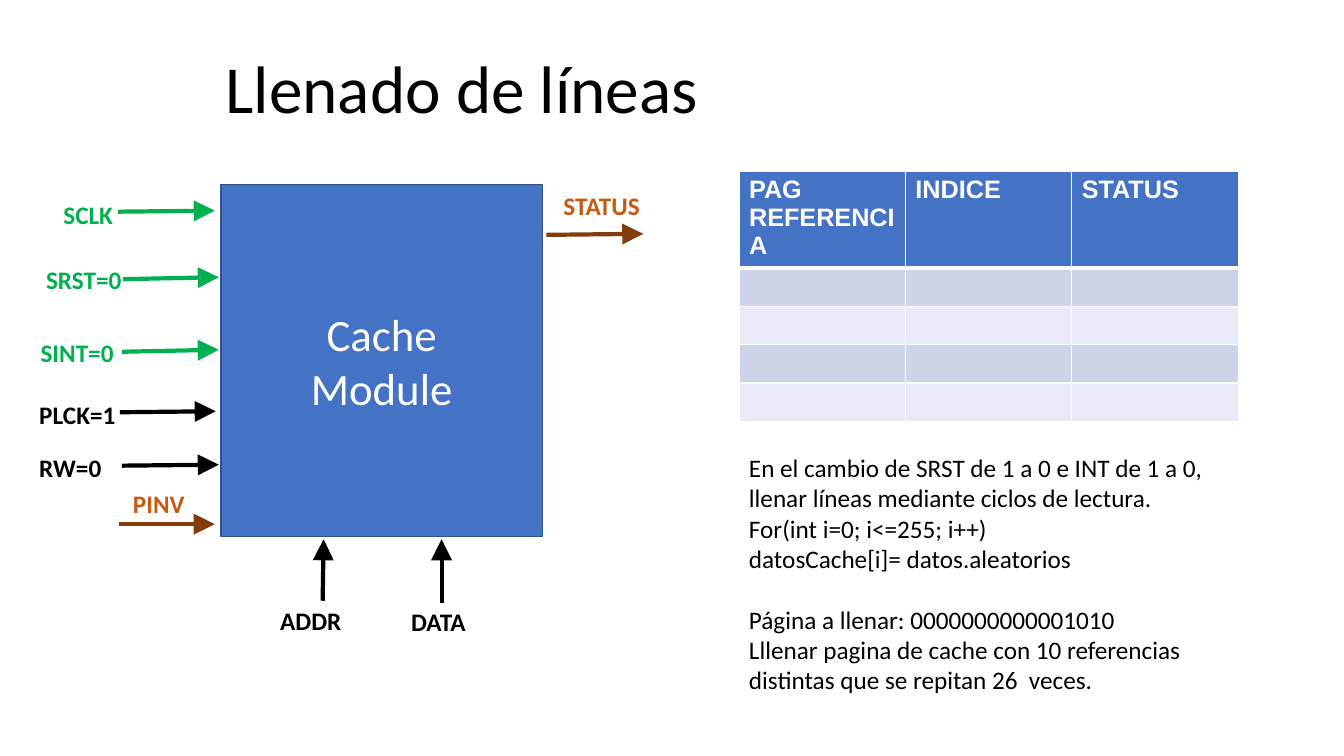
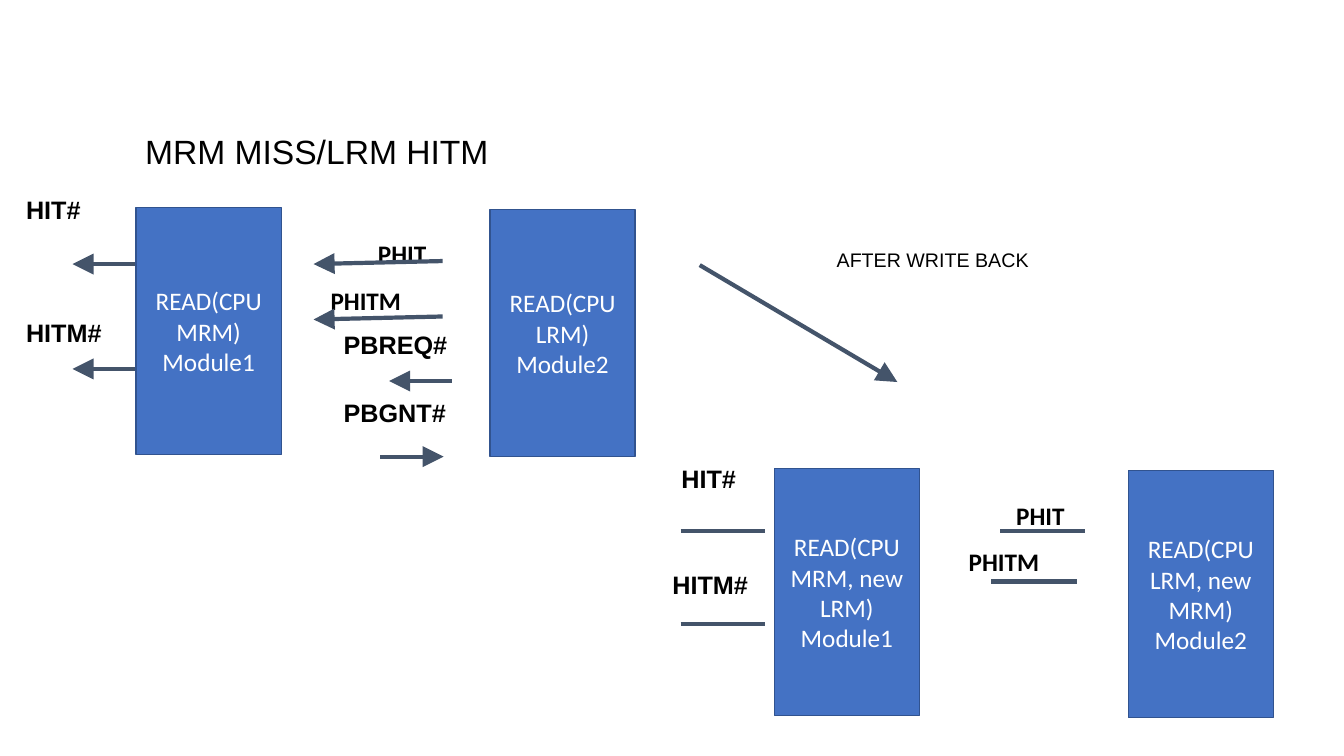
from dataclasses import dataclass
from lxml import etree
from pptx import Presentation
from pptx.dml.color import RGBColor
from pptx.enum.shapes import MSO_CONNECTOR, MSO_SHAPE
from pptx.enum.text import MSO_ANCHOR, PP_ALIGN
from pptx.oxml.ns import qn
from pptx.util import Pt

RECT = MSO_SHAPE.RECTANGLE
LINE = MSO_CONNECTOR.STRAIGHT
TOP, MID = MSO_ANCHOR.TOP, MSO_ANCHOR.MIDDLE
LEFT, MIDST = PP_ALIGN.LEFT, PP_ALIGN.CENTER


@dataclass(frozen=True)
class Theme:
    black: str = "000000"
    white: str = "FFFFFF"
    blue: str = "4472C4"
    edge: str = "31538F"
    slate: str = "44546A"
    green: str = "00B050"
    rust: str = "C55A11"
    brown: str = "833C0B"
    bands: tuple = ("CDD4EA", "E8EBF5")
    sans: str = "Calibri"
    alt: str = "Arial"
    title: int = 48
    chip: int = 32
    head: int = 24
    body: int = 18
    note: int = 14
    gap: int = 22
    wire: int = 3
    thin: int = 1


T = Theme()


def px(n):
    return n * 9144


def rgb(code):
    return RGBColor.from_string(code)


def write(frame, lines, size=T.body, ink=T.black, font=T.sans, bold=False,
          align=LEFT, pad=5):
    frame.word_wrap = True
    frame.margin_left = frame.margin_right = px(10)
    frame.margin_top = frame.margin_bottom = px(pad)
    for i, line in enumerate(lines):
        para = frame.paragraphs[0] if i == 0 else frame.add_paragraph()
        para.alignment = align
        run = para.add_run()
        run.text = line
        run.font.size = Pt(size)
        run.font.name = font
        run.font.bold = bold
        run.font.color.rgb = rgb(ink)


def label(slide, x, y, w, h, lines, **style):
    box = slide.shapes.add_textbox(px(x), px(y), px(w), px(h))
    box.text_frame.vertical_anchor = TOP
    write(box.text_frame, lines, **style)
    return box


def block(slide, x, y, w, h, lines, size=T.body):
    box = slide.shapes.add_shape(RECT, px(x), px(y), px(w), px(h))
    box.shadow.inherit = False
    box.fill.solid()
    box.fill.fore_color.rgb = rgb(T.blue)
    box.line.color.rgb = rgb(T.edge)
    box.line.width = Pt(T.thin)
    box.text_frame.vertical_anchor = MID
    write(box.text_frame, lines, size=size, ink=T.white, align=MIDST)


def wire(slide, x, y, ends, ink=T.slate, arrow=True):
    x1, y1, x2, y2 = ends
    line = slide.shapes.add_connector(
        LINE, px(x + x1), px(y + y1), px(x + x2), px(y + y2))
    line.line.color.rgb = rgb(ink)
    line.line.width = Pt(T.wire)
    if arrow:
        etree.SubElement(line.line._get_or_add_ln(), qn("a:tailEnd"),
                         type="triangle", w="lg", len="lg")
    etree.SubElement(line._element.spPr, qn("a:effectLst"))


def chip(slide, x, y):
    block(slide, x, y, 319, 349, ["Cache", "Module"], T.chip)
    pins = [
        ("SCLK", (-170, 10, 77), MIDST, T.green, T.green, (-102, 27, -6, 26)),
        ("SRST=0", (-190, 74, 108), MIDST, T.green, T.green, (-97, 94, -2, 92)),
        ("SINT=0", (-201, 147, 117), MIDST, T.green, T.green,
         (-98, 166, -2, 164)),
        ("PLCK=1", (-190, 208, 99), LEFT, T.black, T.black,
         (-100, 226, -5, 225)),
        ("RW=0", (-190, 261, 109), LEFT, T.black, T.black,
         (-98, 279, -2, 278)),
        ("PINV", (-97, 297, 78), LEFT, T.rust, T.brown, (-101, 337, -6, 337)),
        ("STATUS", (330, 1, 104), LEFT, T.rust, T.brown, (323, 50, 419, 49)),
        ("ADDR", (49, 413, 105), LEFT, T.black, T.black, (101, 413, 102, 352)),
        ("DATA", (179, 414, 105), LEFT, T.black, T.black, (219, 415, 219, 352)),
    ]
    for name, (dx, dy, w), align, ink, tint, ends in pins:
        wire(slide, x, y, ends, tint)
        label(slide, x + dx, y + dy, w, 40, [name], ink=ink, bold=True,
              align=align)


def border(cell, row):
    props = cell._tc.get_or_add_tcPr()
    thick = {"lnT": row == 1, "lnB": row == 0}
    for i, side in enumerate(("lnL", "lnR", "lnT", "lnB")):
        width = T.wire if thick.get(side) else T.thin
        line = etree.Element(qn("a:" + side), w=str(Pt(width)))
        fill = etree.SubElement(line, qn("a:solidFill"))
        etree.SubElement(fill, qn("a:srgbClr"), val=T.white)
        props.insert(i, line)


def grid(slide, x, y, heads):
    tall = [93] + [38] * 4
    table = slide.shapes.add_table(
        len(tall), len(heads), px(x), px(y), px(165 * len(heads)),
        px(sum(tall))).table
    for col in table.columns:
        col.width = px(165)
    for r, high in enumerate(tall):
        table.rows[r].height = px(high)
        for c, head in enumerate(heads):
            cell = table.cell(r, c)
            if r == 0:
                write(cell.text_frame, [head], ink=T.white, font=T.alt,
                      bold=True)
            cell.margin_left = cell.margin_right = px(10)
            cell.margin_top, cell.margin_bottom = px(4), px(2)
            cell.fill.solid()
            cell.fill.fore_color.rgb = rgb(T.bands[(r - 1) % 2] if r else T.blue)
            border(cell, r)


def notes(slide, x, y):
    box = label(slide, x, y, 495, 283, [
        "En el cambio de SRST de 1 a 0 e INT de 1 a 0, "
        "llenar líneas mediante ciclos de lectura.",
        "For(int i=0; i<=255; i++)",
        "datosCache[i]= datos.aleatorios",
        "Página a llenar: 0000000000001010",
        "Lllenar pagina de cache con 10 referencias "
        "distintas que se repitan 26  veces.",
    ])
    box.text_frame.paragraphs[3].space_before = Pt(T.gap)


def pair(slide, x, y, roles, tags, wires, arrow):
    for i, role in enumerate(roles):
        block(slide, x + 351 * i, y + 2 * i, 144, 245,
              [f"READ(CPU {role})", f"Module{i + 1}"])
    label(slide, x + 230, y + 26, 82, 53, ["PHIT"], bold=True)
    label(slide, x + 183, y + 72, 126, 79, ["PHITM"], bold=True)
    for name, dx, dy in tags:
        label(slide, x + dx, y + dy, 128, 52, [name], font=T.alt, bold=True)
    for ends in wires:
        wire(slide, x, y, ends, arrow=arrow)


def fill_page(slide):
    chip(slide, 219, 183)
    label(slide, 214, 41, 574, 91, ["Llenado de líneas"], size=T.title)
    grid(slide, 733, 170, ["PAG REFERENCIA", "INDICE", "STATUS"])
    notes(slide, 733, 444)


def miss_page(slide):
    label(slide, 134, 120, 980, 87, ["MRM MISS/LRM HITM"], size=T.head,
          font=T.alt, pad=10)
    pair(slide, 135, 206, ["MRM", "LRM"],
         [("HIT#", -119, -18), ("HITM#", -119, 104),
          ("PBREQ#", 196, 116), ("PBGNT#", 196, 183)],
         [(-1, 56, -63, 56), (-1, 160, -63, 160), (304, 53, 176, 56),
          (304, 108, 176, 111), (313, 172, 251, 172), (242, 247, 305, 247)],
         True)
    pair(slide, 768, 465, ["MRM, new LRM", "LRM, new MRM"],
         [("HIT#", -102, -10), ("HITM#", -111, 95)],
         [(-93, 62, -9, 62), (-93, 154, -9, 154),
          (224, 62, 308, 62), (215, 112, 300, 112)],
         False)
    wire(slide, 694, 263, (0, 0, 196, 116))
    label(slide, 820, 236, 318, 106, ["AFTER WRITE BACK"], size=T.note,
          font=T.alt, pad=10)


def main():
    deck = Presentation()
    deck.slide_width, deck.slide_height = px(1333), px(750)
    for page in (fill_page, miss_page):
        page(deck.slides.add_slide(deck.slide_layouts[6]))
    deck.save("out.pptx")


if __name__ == "__main__":
    main()
